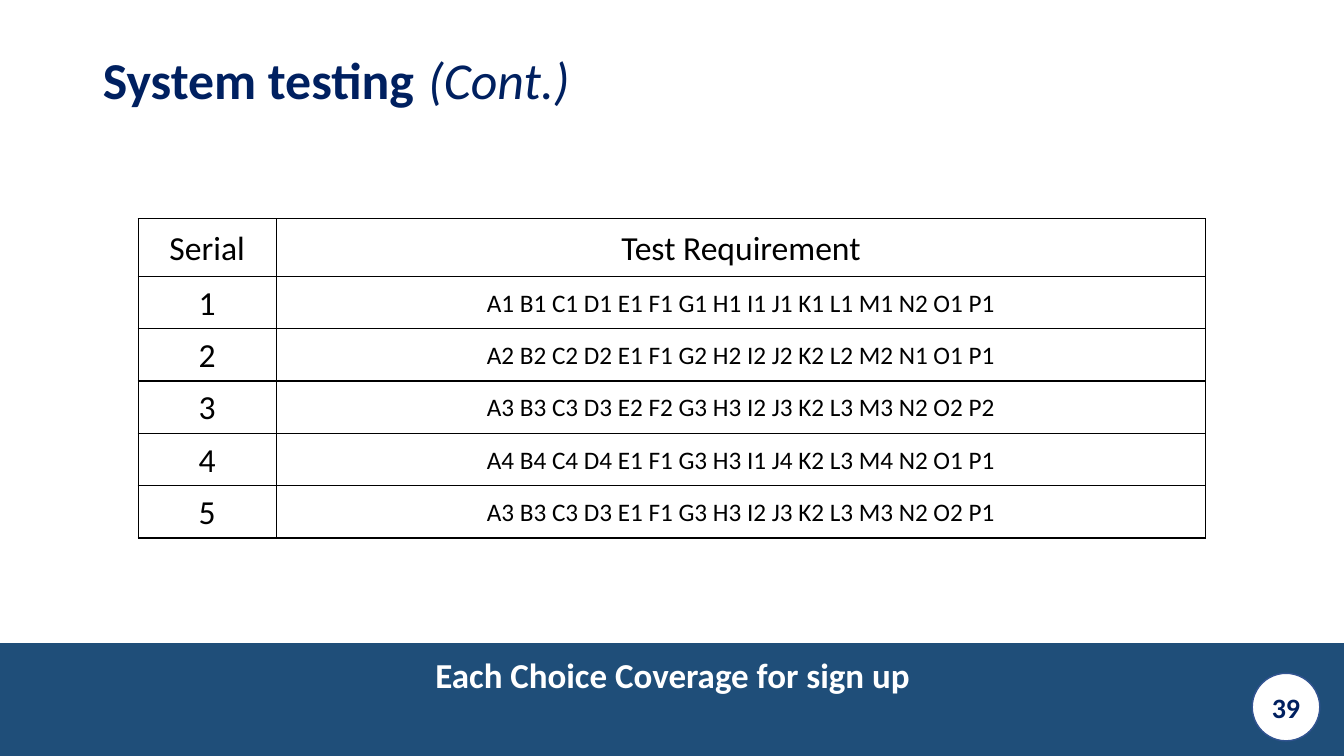
from copy import deepcopy

from lxml import etree
from pptx import Presentation
from pptx import util as u
from pptx.dml.color import RGBColor
from pptx.enum import shapes, text
from pptx.oxml.ns import qn

FONT = "Calibri"
NAVY, BAND, WHITE, BLACK = "002060", "1F4E79", "FFFFFF", "000000"
REQUIREMENTS = [
    "A1 B1 C1 D1 E1 F1 G1 H1 I1 J1 K1 L1 M1 N2 O1 P1",
    "A2 B2 C2 D2 E1 F1 G2 H2 I2 J2 K2 L2 M2 N1 O1 P1",
    "A3 B3 C3 D3 E2 F2 G3 H3 I2 J3 K2 L3 M3 N2 O2 P2",
    "A4 B4 C4 D4 E1 F1 G3 H3 I1 J4 K2 L3 M4 N2 O1 P1",
    "A3 B3 C3 D3 E1 F1 G3 H3 I2 J3 K2 L3 M3 N2 O2 P1",
]


def rgb(hex_color):
    return RGBColor.from_string(hex_color)


def set_font(font, size, color, bold=False, italic=False):
    font.name, font.size = FONT, u.Pt(size)
    font.bold, font.italic = bold, italic
    font.color.rgb = rgb(color)


def place(sp, left, top, width, height):
    sp.left, sp.top = u.Inches(left), u.Inches(top)
    sp.width, sp.height = u.Inches(width), u.Inches(height)


def set_background(s):
    fill = s.background.fill
    fill.gradient()
    fill.gradient_angle = 270
    stops = s.element.find(".//" + qn("a:gsLst"))
    stops.insert(0, deepcopy(stops[0]))
    for stop, position, color in zip(fill.gradient_stops, (0.52, 0.85, 0.85), (WHITE, WHITE, BAND)):
        stop.position = position
        stop.color.rgb = rgb(color)


def add_title(s, runs):
    title = s.shapes.title
    place(title, 0.92, 0.43, 10.75, 0.73)
    tf = title.text_frame
    tf.vertical_anchor = text.MSO_ANCHOR.BOTTOM
    tf.auto_size = text.MSO_AUTO_SIZE.NONE
    p = tf.paragraphs[0]
    p.alignment = text.PP_ALIGN.LEFT
    p.line_spacing = 0.8
    for words, size, bold, italic in runs:
        r = p.add_run()
        r.text = words
        set_font(r.font, size, NAVY, bold, italic)


def add_label(s, words, box, size, color, anchor, spacing=1.0):
    sp = s.shapes.add_textbox(*map(u.Inches, box))
    tf = sp.text_frame
    tf.word_wrap = True
    tf.vertical_anchor = anchor
    p = tf.paragraphs[0]
    p.text = words
    p.alignment = text.PP_ALIGN.CENTER
    p.line_spacing = spacing
    set_font(p.font, size, color, bold=True)


def add_badge(s, number):
    sp = s.shapes.add_shape(shapes.MSO_SHAPE.OVAL, *map(u.Inches, (12.42, 6.68, 0.67, 0.67)))
    sp.shadow.inherit = False
    sp.fill.solid()
    sp.fill.fore_color.rgb = rgb(WHITE)
    sp.line.color.rgb = rgb("325491")
    sp.line.width = u.Pt(1)
    add_label(s, number, (12.42, 6.82, 0.67, 0.4), 20, NAVY, text.MSO_ANCHOR.MIDDLE)


def set_borders(cell):
    tc_pr = cell._tc.get_or_add_tcPr()
    for i, side in enumerate(("lnL", "lnR", "lnT", "lnB")):
        ln = etree.Element(qn("a:" + side), w=str(u.Pt(1)))
        solid = etree.SubElement(ln, qn("a:solidFill"))
        etree.SubElement(solid, qn("a:srgbClr"), val=BLACK)
        tc_pr.insert(i, ln)


def fill_cell(cell, words, size):
    cell.fill.background()
    cell.vertical_anchor = text.MSO_ANCHOR.MIDDLE
    cell.margin_left = cell.margin_right = u.Inches(0.13)
    cell.margin_top = cell.margin_bottom = 0
    p = cell.text_frame.paragraphs[0]
    p.text = words
    p.alignment = text.PP_ALIGN.CENTER
    p.line_spacing = 1.07
    set_font(p.font, size, BLACK)
    set_borders(cell)


def add_requirements(s):
    rows = [("Serial", "Test Requirement")]
    rows += [(str(i), words) for i, words in enumerate(REQUIREMENTS, 1)]
    frame = s.shapes.add_table(len(rows), 2, *map(u.Inches, (1.37, 2.17, 10.59, 3.17)))
    table = frame.table
    table.first_row = table.horz_banding = False
    for column, width in zip(table.columns, (1.37, 9.22)):
        column.width = u.Inches(width)
    for i, row in enumerate(rows):
        table.rows[i].height = u.Inches(0.52 if i else 0.57)
        for j, words in enumerate(row):
            fill_cell(table.cell(i, j), words, 18 if i and j else 24)


def main():
    prs = Presentation()
    prs.slide_width, prs.slide_height = u.Inches(13.33), u.Inches(7.5)
    s = prs.slides.add_slide(prs.slide_layouts[5])
    set_background(s)
    add_badge(s, "39")
    add_title(s, [
        ("System testing", 37, True, False),
        (" ", 44.4, True, False),
        ("(Cont.)", 37, False, True),
    ])
    add_label(s, "Each Choice Coverage for sign up", (1.67, 6.48, 10, 1.02), 25, WHITE,
              text.MSO_ANCHOR.TOP, 0.9)
    add_requirements(s)
    prs.save("out.pptx")


if __name__ == "__main__":
    main()
